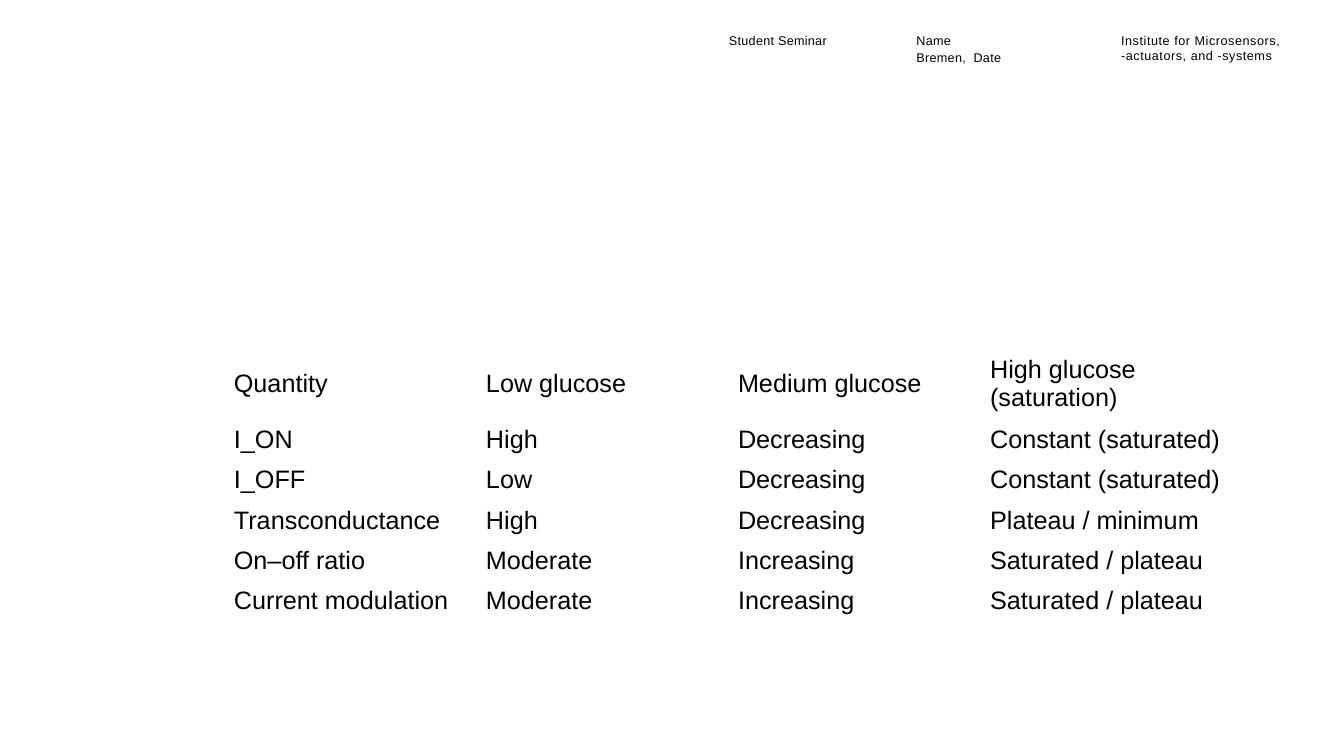
"""Build the seminar slide comparing transistor quantities across glucose levels."""
from pptx import Presentation
from pptx.dml.color import RGBColor
from pptx.enum.text import MSO_ANCHOR
from pptx.util import Inches, Pt


def color(code):
    return RGBColor.from_string(code)


def add_span(para, text, size):
    span = para.add_run()
    span.text = text
    span.font.name = "Arial"
    span.font.size = Pt(size)
    span.font.bold = False
    span.font.color.rgb = color("000000")
    return span


deck = Presentation()
deck.slide_width = Inches(13.33)
deck.slide_height = Inches(7.5)
page = deck.slides.add_slide(deck.slide_layouts[6])
page.background.fill.solid()
page.background.fill.fore_color.rgb = color("FFFFFF")

headers = [
    (7.23, 0.31, 1.69, 12, 20, ["Student Seminar"]),
    (9.09, 0.31, 2.03, 12, 20, ["Name", "Bremen,  Date"]),
    (11.12, 0.32, 1.97, 11, 40, ["Institute for Microsensors, -actuators, and -systems"]),
]
for left, top, width, line_height, letter_gap, lines in headers:
    box = page.shapes.add_textbox(Inches(left), Inches(top), Inches(width), Inches(0.49))
    frame = box.text_frame
    frame.word_wrap = True
    frame.margin_left = frame.margin_right = frame.margin_top = frame.margin_bottom = 0
    for index, line in enumerate(lines):
        para = frame.add_paragraph() if index else frame.paragraphs[0]
        para.line_spacing = Pt(line_height)
        span = add_span(para, line, 9)
        span.font._element.set("spc", str(letter_gap))

quantities = [
    ["Quantity", "Low glucose", "Medium glucose", "High glucose (saturation)"],
    ["I_ON", "High", "Decreasing", "Constant (saturated)"],
    ["I_OFF", "Low", "Decreasing", "Constant (saturated)"],
    ["Transconductance", "High", "Decreasing", "Plateau / minimum"],
    ["On–off ratio", "Moderate", "Increasing", "Saturated / plateau"],
    ["Current modulation", "Moderate", "Increasing", "Saturated / plateau"],
]
table = page.shapes.add_table(
    len(quantities), len(quantities[0]), Inches(2.22), Inches(3.46), Inches(10), Inches(2.7)
).table
table.first_row = False
table.horz_banding = False
for row_index, values in enumerate(quantities):
    table.rows[row_index].height = Inches(0.4 if row_index else 0.7)
    for column_index, value in enumerate(values):
        cell = table.cell(row_index, column_index)
        cell.fill.background()
        cell.vertical_anchor = MSO_ANCHOR.MIDDLE
        add_span(cell.text_frame.paragraphs[0], value, 18)

deck.save("out.pptx")
